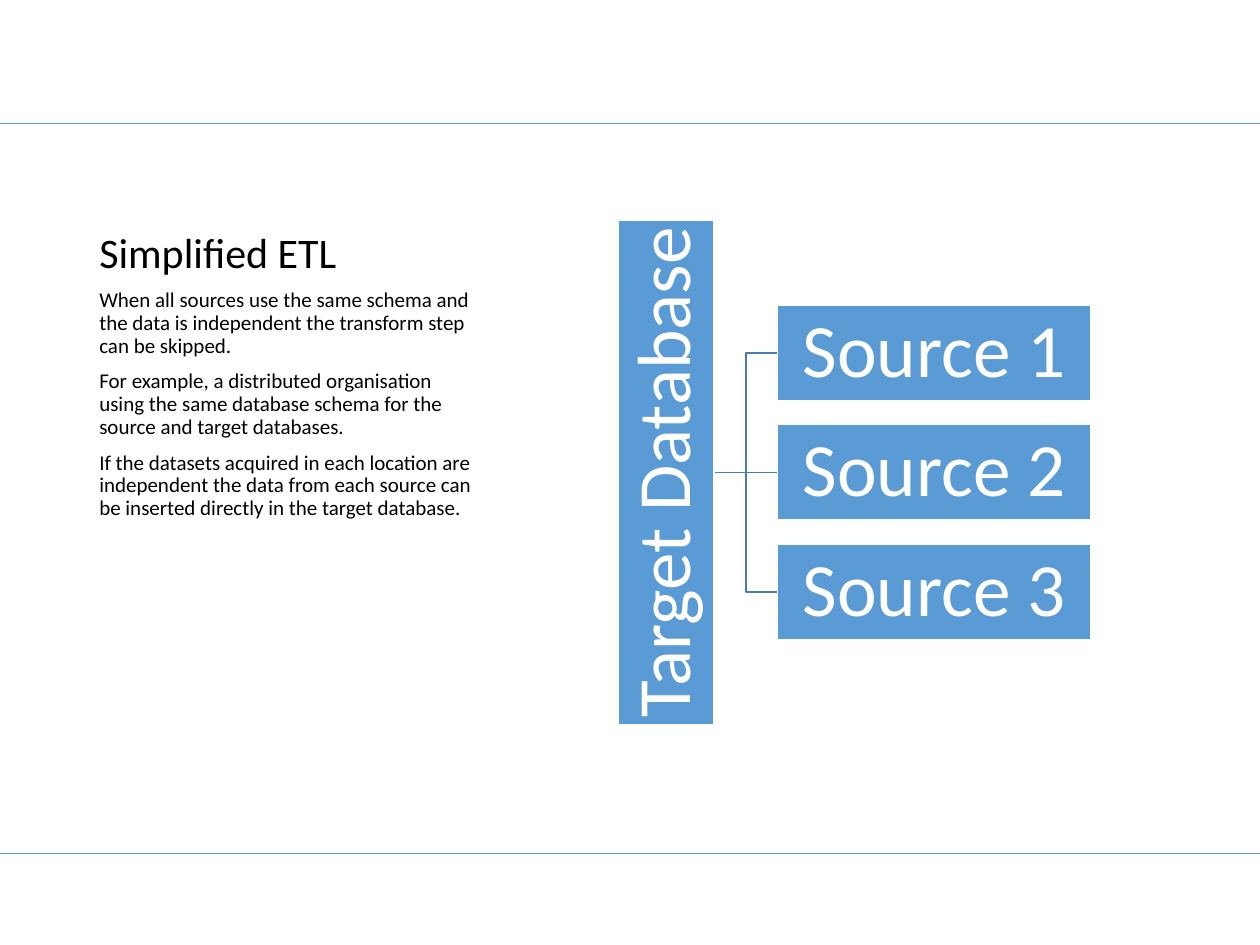
from dataclasses import dataclass

from lxml.etree import SubElement
from pptx import Presentation
from pptx.dml.color import RGBColor
from pptx.enum.shapes import MSO_CONNECTOR, MSO_SHAPE
from pptx.enum.text import MSO_ANCHOR, PP_ALIGN
from pptx.oxml.ns import qn
from pptx.util import Inches, Pt

FONT = "Calibri"
BLUE, LINK_BLUE, WHITE, BLACK = "5B9BD5", "497CAB", "FFFFFF", "000000"
BOX_HEIGHT, SOURCE_WIDTH, TARGET_LENGTH = 0.76, 2.49, 4
CENTER_Y, SOURCE_PITCH = 3.75, 0.95
TARGET_RIGHT, SOURCE_LEFT = 5.67, 6.17
TEXT_LEFT, TEXT_WIDTH = 0.69, 3.23


@dataclass
class Box:
    text: str
    center_x: float
    center_y: float
    width: float
    rotation: int = 0


@dataclass
class TextBlock:
    paragraphs: list[str]
    top: float
    height: float
    size: int
    anchor: MSO_ANCHOR
    space_before: float = 0


def color(value: str) -> RGBColor:
    return RGBColor.from_string(value)


def style_line(s, value: str, width: float) -> None:
    s.line.color.rgb = color(value)
    s.line.width = Pt(width)


def style_paragraph(p, text: str, size: int, value: str) -> None:
    p.text = text
    p.line_spacing = 0.9
    p.font.name = FONT
    p.font.size = Pt(size)
    p.font.color.rgb = color(value)


def add_line(slide, x1: float, y1: float, x2: float, y2: float, value: str, width: float):
    s = slide.shapes.add_connector(
        MSO_CONNECTOR.STRAIGHT, Inches(x1), Inches(y1), Inches(x2), Inches(y2))
    style_line(s, value, width)
    SubElement(s._element.spPr, qn("a:effectLst"))
    return s


def add_elbow(slide, end_y: float) -> None:
    middle_x = (TARGET_RIGHT + SOURCE_LEFT) / 2
    points = [(middle_x, CENTER_Y), (middle_x, end_y), (SOURCE_LEFT, end_y)]
    builder = slide.shapes.build_freeform(Inches(TARGET_RIGHT), Inches(CENTER_Y))
    builder.add_line_segments([(Inches(x), Inches(y)) for x, y in points], close=False)
    s = builder.convert_to_shape()
    s.shadow.inherit = False
    s.fill.background()
    style_line(s, LINK_BLUE, 1)


def add_box(slide, box: Box):
    s = slide.shapes.add_shape(
        MSO_SHAPE.RECTANGLE,
        Inches(box.center_x - box.width / 2), Inches(box.center_y - BOX_HEIGHT / 2),
        Inches(box.width), Inches(BOX_HEIGHT))
    s.rotation = box.rotation
    s.shadow.inherit = False
    s.fill.solid()
    s.fill.fore_color.rgb = color(BLUE)
    style_line(s, WHITE, 1)
    tf = s.text_frame
    tf.word_wrap = True
    tf.vertical_anchor = MSO_ANCHOR.MIDDLE
    tf.margin_left = tf.margin_right = tf.margin_top = tf.margin_bottom = Inches(0.03)
    p = tf.paragraphs[0]
    style_paragraph(p, box.text, 43, WHITE)
    p.alignment = PP_ALIGN.CENTER
    return s


def add_text(slide, block: TextBlock) -> None:
    s = slide.shapes.add_textbox(
        Inches(TEXT_LEFT), Inches(block.top), Inches(TEXT_WIDTH), Inches(block.height))
    tf = s.text_frame
    tf.word_wrap = True
    tf.vertical_anchor = block.anchor
    for i, text in enumerate(block.paragraphs):
        p = tf.add_paragraph() if i else tf.paragraphs[0]
        style_paragraph(p, text, block.size, BLACK)
        p.space_before = Pt(block.space_before)


def add_diagram(slide) -> None:
    offsets = (-SOURCE_PITCH, 0, SOURCE_PITCH)
    sources = [
        Box(f"Source {i}", SOURCE_LEFT + SOURCE_WIDTH / 2, CENTER_Y + offset, SOURCE_WIDTH)
        for i, offset in enumerate(offsets, start=1)
    ]
    target = Box("Target Database", TARGET_RIGHT - BOX_HEIGHT / 2, CENTER_Y, TARGET_LENGTH, 270)
    add_elbow(slide, sources[2].center_y)
    link = add_line(slide, TARGET_RIGHT, CENTER_Y, SOURCE_LEFT, CENTER_Y, LINK_BLUE, 1)
    add_elbow(slide, sources[0].center_y)
    target_shape = add_box(slide, target)
    source_shapes = [add_box(slide, source) for source in sources]
    link.begin_connect(target_shape, 2)
    link.begin_x, link.begin_y = Inches(TARGET_RIGHT), Inches(CENTER_Y)
    link.end_connect(source_shapes[1], 1)


def main() -> None:
    prs = Presentation()
    prs.slide_width, prs.slide_height = Inches(10), Inches(7.5)
    slide = prs.slides.add_slide(prs.slide_layouts[6])
    for y in (6.77, 0.98):
        add_line(slide, 0, y, 10, y, BLUE, 0.5)
    add_text(slide, TextBlock(["Simplified ETL"], 0.5, 1.75, 24, MSO_ANCHOR.BOTTOM))
    add_diagram(slide)
    add_text(slide, TextBlock([
        "When all sources use the same schema and the data is independent "
        "the transform step can be skipped.",
        "For example, a distributed organisation using the same database schema "
        "for the source and target databases.",
        "If the datasets acquired in each location are independent the data "
        "from each source can be inserted directly in the target database.",
    ], 2.25, 4.17, 12, MSO_ANCHOR.TOP, 7.5))
    prs.save("out.pptx")


if __name__ == "__main__":
    main()
